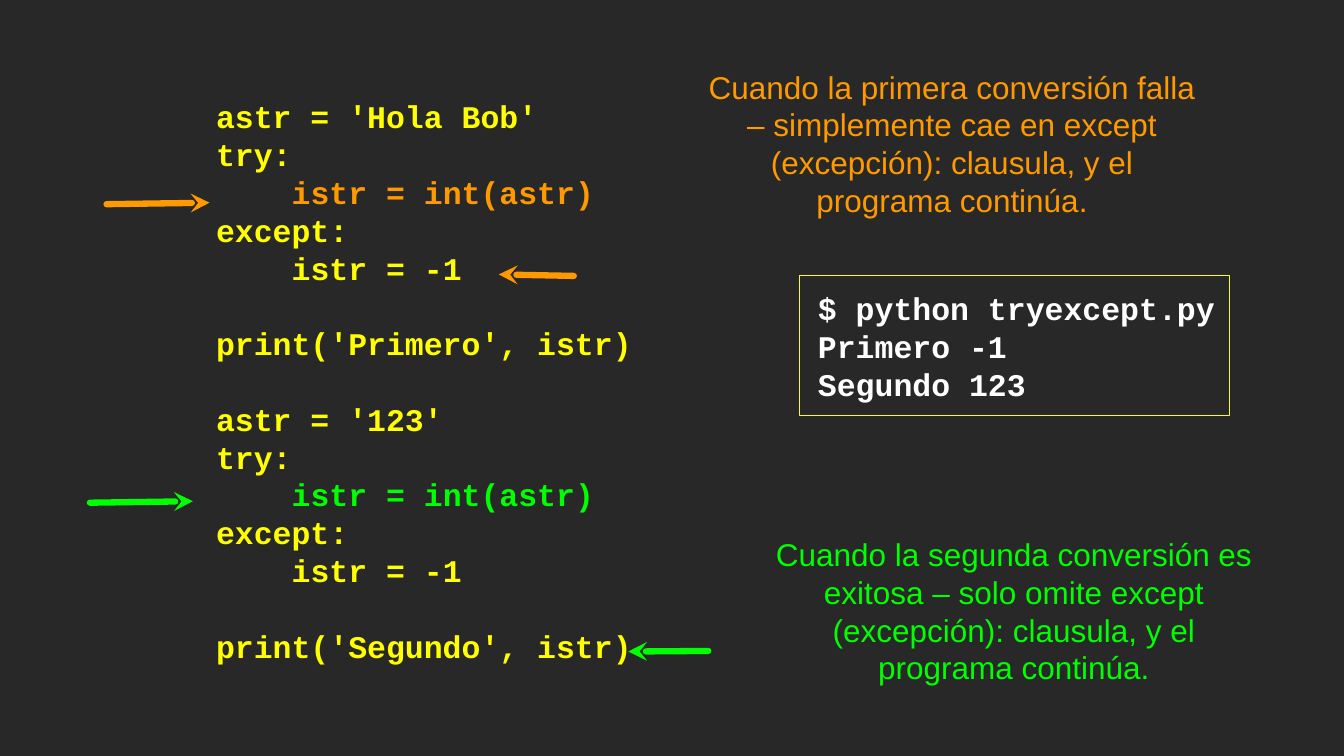
from pptx import Presentation
from pptx.dml.color import RGBColor
from pptx.enum.shapes import MSO_CONNECTOR, MSO_SHAPE
from pptx.enum.text import MSO_ANCHOR, PP_ALIGN
from pptx.oxml.ns import qn
from pptx.util import Cm, Pt
from lxml import etree

LINE = MSO_CONNECTOR.STRAIGHT
RECT = MSO_SHAPE.RECTANGLE
MID = MSO_ANCHOR.MIDDLE
LEFT, MIDDLE = PP_ALIGN.LEFT, PP_ALIGN.CENTER
YELLOW, ORANGE, GREEN, WHITE = "FFFF00", "FF9900", "00FF00", "FFFFFF"
CODE = {"name": "Courier New", "size": Pt(30), "bold": True}
NOTE = {"name": "Arial", "size": Pt(30), "bold": False}
PITCH = Pt(36)
STEP = Cm(2.54)


def paint(fill, tone):
    fill.solid()
    fill.fore_color.rgb = RGBColor.from_string(tone)


def write(shape, rows, look, align):
    frame = shape.text_frame
    frame.word_wrap = True
    frame.vertical_anchor = MID
    for side in ("left", "top", "right", "bottom"):
        setattr(frame, "margin_" + side, 0)
    for i, (text, tone, depth, gap) in enumerate(rows):
        para = frame.paragraphs[0] if i == 0 else frame.add_paragraph()
        para.alignment = align
        para.line_spacing = PITCH
        para.space_before = PITCH * gap
        para._p.get_or_add_pPr().set("marL", str(int(STEP * depth)))
        run = para.add_run()
        run.text = text
        for key, value in look.items():
            setattr(run.font, key, value)
        paint(run.font.fill, tone)


deck = Presentation()
deck.slide_width, deck.slide_height = Cm(45.16), Cm(25.4)
slide = deck.slides.add_slide(deck.slide_layouts[6])
paint(slide.background.fill, "282828")
shapes = slide.shapes

rows = []
for value, tone, label in (("Hola Bob", ORANGE, "Primero"), ("123", GREEN, "Segundo")):
    rows += [
        (f"astr = '{value}'", YELLOW, 0, 1 if rows else 0),
        ("try:", YELLOW, 0, 0),
        ("istr = int(astr)", tone, 1, 0),
        ("except:", YELLOW, 0, 0),
        ("istr = -1", YELLOW, 1, 0),
        (f"print('{label}', istr)", YELLOW, 0, 1),
    ]
code = shapes.add_textbox(Cm(7.26), Cm(2.82), Cm(14.45), Cm(19.96))
write(code, rows, CODE, LEFT)

shell = shapes.add_shape(RECT, Cm(26.85), Cm(9.27), Cm(14.45), Cm(4.7))
shell.shadow.inherit = False
shell.fill.background()
paint(shell.line.fill, YELLOW)
shell.line.width = Pt(1)
lines = ("$ python tryexcept.py", "Primero -1", "Segundo 123")
write(shell, [(text, WHITE, 0.25, 0) for text in lines], CODE, LEFT)

for left, top, tone, start in (
    (23.8, 2.82, ORANGE, "Cuando la primera conversión falla – simplemente cae en except"),
    (25.88, 18.52, GREEN, "Cuando la segunda conversión es exitosa – solo omite except"),
):
    note = shapes.add_textbox(Cm(left), Cm(top), Cm(16.38), Cm(3.99))
    text = start + " (excepción): clausula, y el programa continúa."
    write(note, [(text, tone, 0, 0)], NOTE, MIDDLE)

for tipx, tipy, endx, endy, tone in (
    (7.04, 6.81, 3.58, 6.86, ORANGE),
    (16.76, 9.22, 19.28, 9.27, ORANGE),
    (6.48, 16.84, 3.02, 16.89, GREEN),
    (21.11, 21.89, 23.8, 21.87, GREEN),
):
    arrow = shapes.add_connector(LINE, Cm(tipx), Cm(tipy), Cm(endx), Cm(endy))
    paint(arrow.line.fill, tone)
    arrow.line.width = Pt(6)
    stroke = arrow.line._get_or_add_ln()
    stroke.set("cap", "rnd")
    etree.SubElement(stroke, qn("a:headEnd")).set("type", "stealth")
    etree.SubElement(arrow._element.spPr, qn("a:effectLst"))

deck.save("out.pptx")
